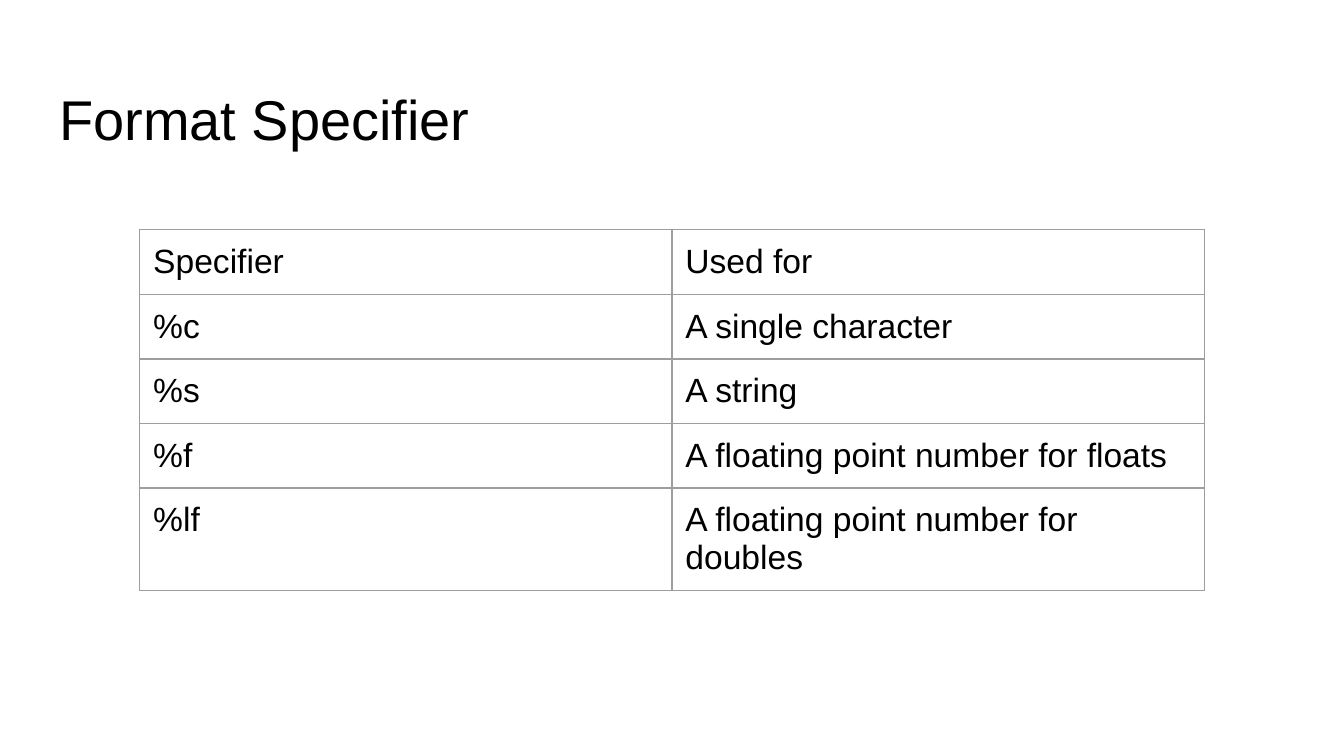
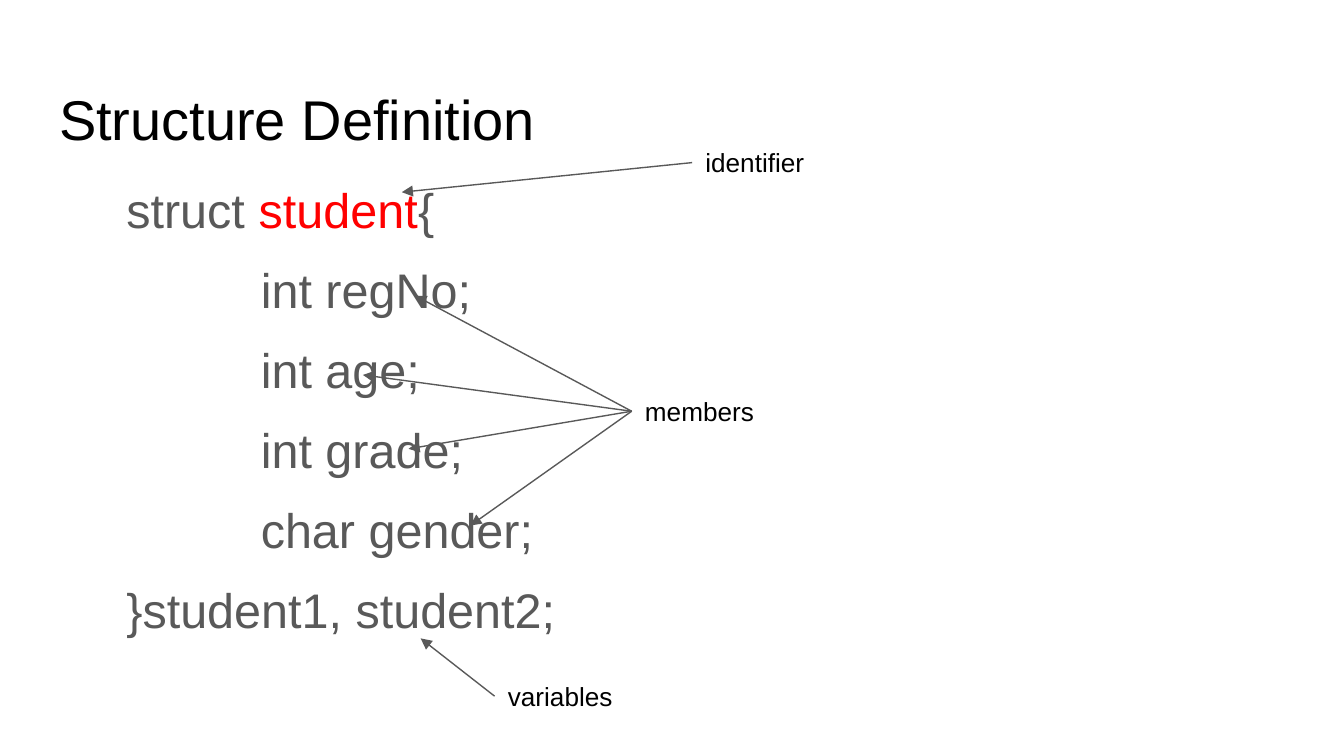
from dataclasses import dataclass

from lxml.etree import SubElement
from pptx import Presentation
from pptx.dml.color import RGBColor
from pptx.enum.shapes import MSO_CONNECTOR as Link
from pptx.enum.text import MSO_ANCHOR as Anchor, MSO_AUTO_SIZE as Fit, PP_ALIGN as Align
from pptx.oxml.ns import qn
from pptx.util import Inches, Length, Pt

BLACK = RGBColor(0x00, 0x00, 0x00)
GRAY = RGBColor(0x59, 0x59, 0x59)
RULE = RGBColor(0x9E, 0x9E, 0x9E)
RED = RGBColor(0xFF, 0x00, 0x00)
FONT = "Arial"
COLS, ROWS = 100, 56.25  # slide grid, ten cells to the inch
LABEL_ROWS = 4.4
THIN = Pt(0.75)


@dataclass(frozen=True)
class Label:
    text: str
    left: float
    top: float
    width: float
    tips: tuple[tuple[float, float], ...]


@dataclass(frozen=True)
class Part:
    text: str
    color: RGBColor = GRAY


ROWS_TEXT = (
    ("Specifier", "Used for"),
    ("%c", "A single character"),
    ("%s", "A string"),
    ("%f", "A floating point number for floats"),
    ("%lf", "A floating point number for doubles"),
)
CODE = (
    (Part("struct "), Part("student", RED), Part("{")),
    (Part("\tint regNo;"),),
    (Part("\tint age;"),),
    (Part("\tint grade;"),),
    (Part("\tchar gender;"),),
    (Part("}student1, student2;"),),
)
LABELS = (
    Label("identifier", 51.5, 9.9, 44.6, ((29.9, 14.3),)),
    Label("members", 47, 28.4, 19.2,
          ((30.9, 22), (27, 27.9), (30.4, 33.4), (35, 39.1))),
    Label("variables", 36.8, 49.6, 28.1, ((31.3, 47.5),)),
)


def grid(*cells: float) -> tuple[Length, ...]:
    return tuple(Inches(cell / 10) for cell in cells)


def add_run(para, text: str, size: float, color: RGBColor = BLACK) -> None:
    run = para.add_run()
    run.text = text
    run.font.name, run.font.size = FONT, Pt(size)
    run.font.color.rgb = color


def set_frame(frame, top: float = 1) -> None:
    pad = grid(1)[0]
    frame.margin_left = frame.margin_right = frame.margin_bottom = pad
    frame.margin_top = grid(top)[0]
    frame.word_wrap = True
    frame.vertical_anchor = Anchor.TOP


def place(shape, left: float, top: float, width: float, height: float) -> None:
    shape.left, shape.top, shape.width, shape.height = grid(left, top, width, height)


def add_page(deck, layout: int, title: str):
    page = deck.slides.add_slide(deck.slide_layouts[layout])
    head = page.shapes.title
    place(head, 3.4, 4.9, 93.2, 6.3)
    frame = head.text_frame
    set_frame(frame, top=1.4)
    frame.auto_size = Fit.NONE
    para = frame.paragraphs[0]
    para.alignment = Align.LEFT
    add_run(para, title, 30)
    return page


def add_borders(cell) -> None:
    props = cell._tc.get_or_add_tcPr()
    for side in ("lnL", "lnR", "lnT", "lnB"):
        edge = SubElement(props, qn(f"a:{side}"), w=str(THIN))
        fill = SubElement(edge, qn("a:solidFill"))
        SubElement(fill, qn("a:srgbClr"), val=str(RULE))


def add_grid(page) -> None:
    high = 4.2
    count = len(ROWS_TEXT)
    table = page.shapes.add_table(
        count, 2, *grid(10.4, 17.1, 79.2, high * count)).table
    table.first_row = table.horz_banding = False
    for row, texts in zip(table.rows, ROWS_TEXT):
        row.height = grid(high)[0]
        for cell, text in zip(row.cells, texts):
            cell.margin_left, cell.margin_right = grid(1, 1)
            cell.margin_top, cell.margin_bottom = grid(1, 1)
            add_borders(cell)
            cell.fill.background()
            add_run(cell.text_frame.paragraphs[0], text, 18)


def add_code(page) -> None:
    body = page.placeholders[1]
    place(body, 3.4, 12.6, 93.2, 37.4)
    frame = body.text_frame
    set_frame(frame)
    frame.auto_size = Fit.NONE
    for i, parts in enumerate(CODE):
        para = frame.add_paragraph() if i else frame.paragraphs[0]
        para.line_spacing = 0.99
        para.space_before = Pt(12 if i else 0)
        para.space_after = Pt(12 if i == len(CODE) - 1 else 0)
        props = para._p.get_or_add_pPr()
        props.set("marL", str(grid(5)[0]))
        props.set("indent", "0")
        props.set("defTabSz", str(grid(10)[0]))
        SubElement(props, qn("a:buNone"))
        for part in parts:
            add_run(para, part.text, 26, part.color)


def add_arrow(page, start: tuple[float, float], tip: tuple[float, float]) -> None:
    arrow = page.shapes.add_connector(Link.STRAIGHT, *grid(*start, *tip))
    arrow.line.color.rgb = GRAY
    arrow.line.width = THIN
    props = arrow._element.spPr
    SubElement(props.find(qn("a:ln")), qn("a:tailEnd"), type="triangle")
    SubElement(props, qn("a:effectLst"))


def add_label(page, label: Label) -> None:
    box = page.shapes.add_textbox(
        *grid(label.left, label.top, label.width, LABEL_ROWS))
    set_frame(box.text_frame)
    box.text_frame.auto_size = Fit.SHAPE_TO_FIT_TEXT
    add_run(box.text_frame.paragraphs[0], label.text, 14)
    # Arrows leave from the middle of the label's left edge
    for tip in label.tips:
        add_arrow(page, (label.left, label.top + LABEL_ROWS / 2), tip)


deck = Presentation()
deck.slide_width, deck.slide_height = grid(COLS, ROWS)

# Format specifiers
add_grid(add_page(deck, 5, "Format Specifier"))

# Structure definition
page = add_page(deck, 1, "Structure Definition")
add_code(page)
for label in LABELS:
    add_label(page, label)

deck.save("out.pptx")
